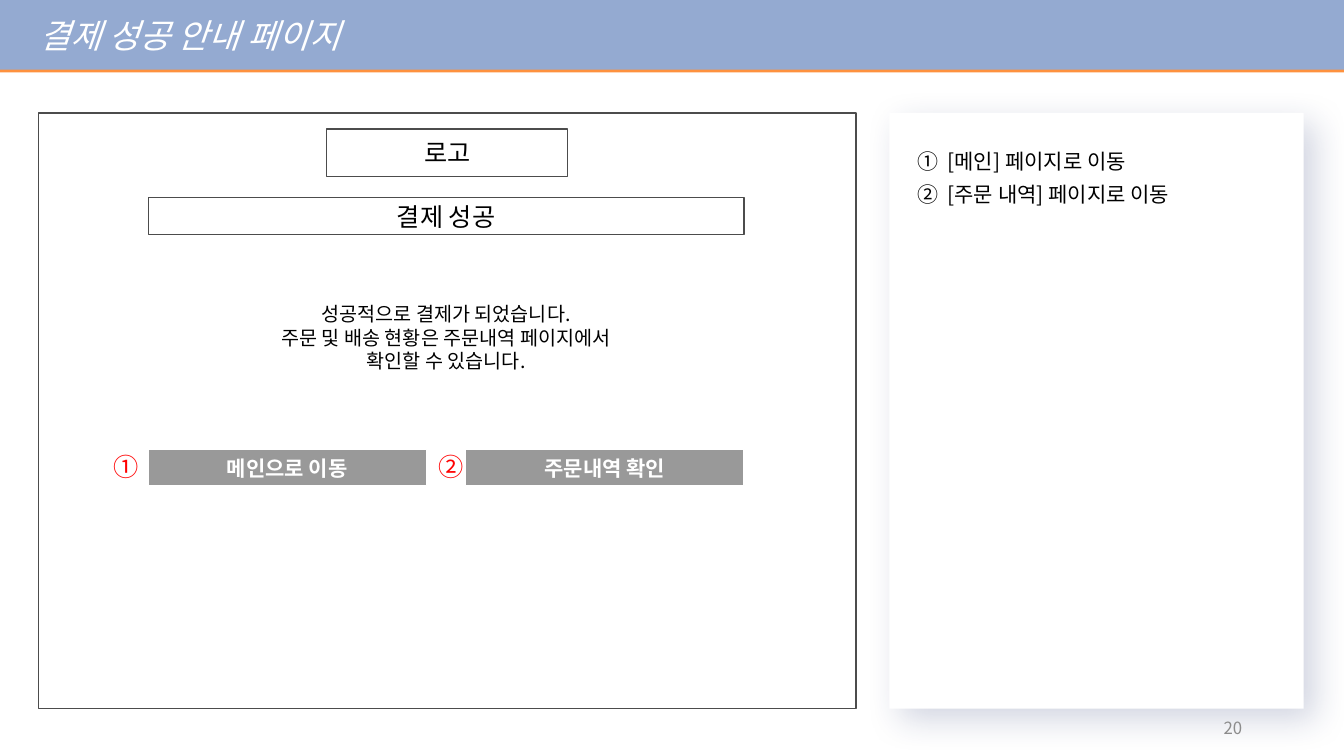
from dataclasses import dataclass
from typing import Optional

from lxml.etree import SubElement
from pptx import Presentation
from pptx.dml.color import RGBColor
from pptx.enum.shapes import MSO_SHAPE
from pptx.enum.text import MSO_ANCHOR as Anchor, MSO_AUTO_SIZE as AutoSize, PP_ALIGN as Align
from pptx.oxml.ns import qn
from pptx.util import Emu, Pt

PX = 9144  # one px is a hundredth of an inch
FONT = "Noto Sans CJK KR"

WHITE = RGBColor(0xFF, 0xFF, 0xFF)
BLACK = RGBColor(0x00, 0x00, 0x00)
RED = RGBColor(0xFF, 0x00, 0x00)
HEADER_BLUE = RGBColor(0x94, 0xAA, 0xD1)
ORANGE = RGBColor(0xFE, 0x91, 0x3E)
NAVY = RGBColor(0x1E, 0x2E, 0x6C)
OUTLINE = RGBColor(0x4C, 0x4C, 0x4C)
BUTTON_GRAY = RGBColor(0x99, 0x99, 0x99)
NUMBER_GRAY = RGBColor(0x8C, 0x8C, 0x8C)


@dataclass(frozen=True)
class Area:
    left: int
    top: int
    width: int
    height: int

    def emu(self) -> list[Emu]:
        return [Emu(n * PX) for n in (self.left, self.top, self.width, self.height)]


@dataclass(frozen=True)
class Style:
    size: int
    color: RGBColor = BLACK
    bold: bool = False
    italic: bool = False
    align: Align = Align.CENTER
    indent: int = 0
    numbered: bool = False


@dataclass(frozen=True)
class Shadow:
    color: RGBColor
    opacity: int
    blur: int
    distance: int
    angle: int


@dataclass(frozen=True)
class Panel:
    area: Area
    text: str = ""
    style: Optional[Style] = None
    fill: Optional[RGBColor] = None
    line: Optional[RGBColor] = None
    shadow: Optional[Shadow] = None


@dataclass(frozen=True)
class Label:
    area: Area
    lines: tuple[str, ...]
    style: Style
    wrap: bool = True
    grow: bool = True


HEADING = Style(18)
BUTTON = Style(15, WHITE, bold=True)
MARKER = Style(18, RED, align=Align.LEFT)

PANELS = (
    Panel(Area(882, 112, 411, 591), fill=WHITE, shadow=Shadow(NAVY, 20, 25, 11, 45)),
    Panel(Area(0, 0, 1333, 69), "결제 성공 안내 페이지",
          Style(24, WHITE, italic=True, align=Align.LEFT, indent=29),
          fill=HEADER_BLUE, shadow=Shadow(ORANGE, 100, 0, 2, 90)),
    Panel(Area(38, 112, 811, 591), line=OUTLINE),
    Panel(Area(324, 128, 239, 47), "로고", HEADING, line=OUTLINE),
    Panel(Area(147, 196, 591, 37), "결제 성공", HEADING, line=OUTLINE),
    Panel(Area(147, 446, 276, 36), "메인으로 이동", BUTTON, BUTTON_GRAY, WHITE),
    Panel(Area(462, 446, 276, 36), "주문내역 확인", BUTTON, BUTTON_GRAY, WHITE),
)

LABELS = (
    Label(Area(900, 135, 378, 107), ("[메인] 페이지로 이동", "[주문 내역] 페이지로 이동"),
          Style(15, align=Align.LEFT, indent=30, numbered=True)),
    Label(Area(147, 295, 591, 80),
          ("성공적으로 결제가 되었습니다.", "주문 및 배송 현황은 주문내역 페이지에서", "확인할 수 있습니다."),
          Style(14)),
    Label(Area(103, 443, 43, 40), ("①",), MARKER, wrap=False),
    Label(Area(425, 443, 44, 40), ("②",), MARKER, wrap=False),
    Label(Area(942, 702, 300, 40), ("20",), Style(12, NUMBER_GRAY, align=Align.RIGHT), grow=False),
)


def write_paragraph(para, text: str, style: Style) -> None:
    para.alignment = style.align
    properties = para._p.get_or_add_pPr()
    if style.indent:
        properties.set("marL", str(style.indent * PX))
    if style.numbered:
        properties.set("indent", str(-style.indent * PX))
        para.line_spacing = 1.3
        bullet_color = SubElement(properties, qn("a:buClr"))
        SubElement(bullet_color, qn("a:srgbClr"), val=str(style.color))
        SubElement(properties, qn("a:buFont"), typeface=FONT)
        SubElement(properties, qn("a:buAutoNum"), type="circleNumDbPlain")
    span = para.add_run()
    span.text = text
    font = span.font
    font.size, font.bold, font.italic = Pt(style.size), style.bold, style.italic
    font.color.rgb = style.color
    font.name = FONT
    SubElement(span._r.get_or_add_rPr(), qn("a:ea"), typeface=FONT)


def cast_shadow(shape, shadow: Shadow) -> None:
    effects = shape._element.spPr.find(qn("a:effectLst"))
    outer = SubElement(effects, qn("a:outerShdw"), blurRad=str(Pt(shadow.blur)),
                       dist=str(Pt(shadow.distance)), dir=str(shadow.angle * 60000),
                       algn="tl", rotWithShape="0")
    color = SubElement(outer, qn("a:srgbClr"), val=str(shadow.color))
    SubElement(color, qn("a:alpha"), val=str(shadow.opacity * 1000))


def draw_panel(page, panel: Panel) -> None:
    shape = page.shapes.add_shape(MSO_SHAPE.RECTANGLE, *panel.area.emu())
    shape.shadow.inherit = False
    if panel.fill is None:
        shape.fill.background()
    else:
        shape.fill.solid()
        shape.fill.fore_color.rgb = panel.fill
    if panel.line is None:
        shape.line.fill.background()
    else:
        shape.line.color.rgb = panel.line
        shape.line.width = Pt(1)
    if panel.shadow:
        cast_shadow(shape, panel.shadow)
    if panel.style:
        shape.text_frame.vertical_anchor = Anchor.MIDDLE
        write_paragraph(shape.text_frame.paragraphs[0], panel.text, panel.style)


def draw_label(page, label: Label) -> None:
    frame = page.shapes.add_textbox(*label.area.emu()).text_frame
    frame.word_wrap = label.wrap
    frame.auto_size = AutoSize.SHAPE_TO_FIT_TEXT if label.grow else AutoSize.NONE
    frame.vertical_anchor = Anchor.TOP if label.grow else Anchor.MIDDLE
    for index, line in enumerate(label.lines):
        para = frame.add_paragraph() if index else frame.paragraphs[0]
        write_paragraph(para, line, label.style)


def main() -> None:
    deck = Presentation()
    deck.slide_width, deck.slide_height = Emu(1333 * PX), Emu(750 * PX)
    page = deck.slides.add_slide(deck.slide_layouts[6])
    for panel in PANELS:
        draw_panel(page, panel)
    for label in LABELS:
        draw_label(page, label)
    deck.save("out.pptx")


if __name__ == "__main__":
    main()
